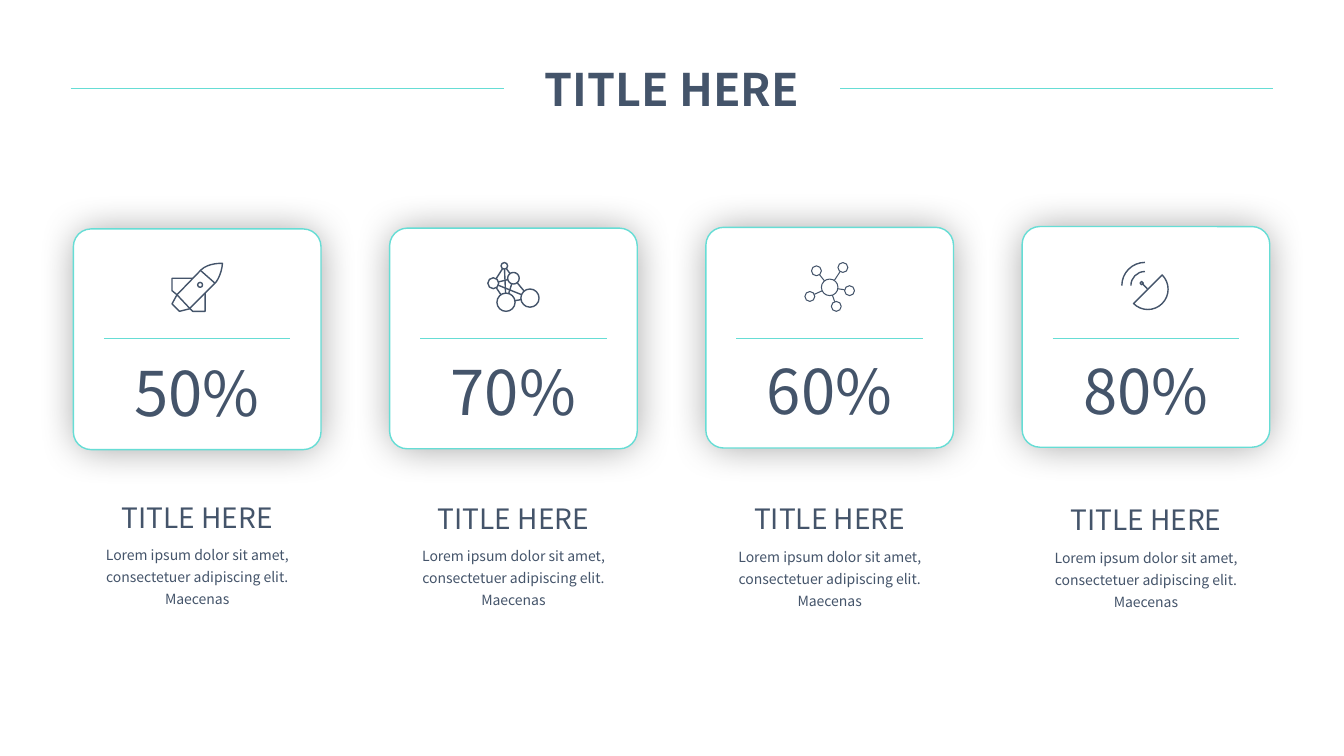
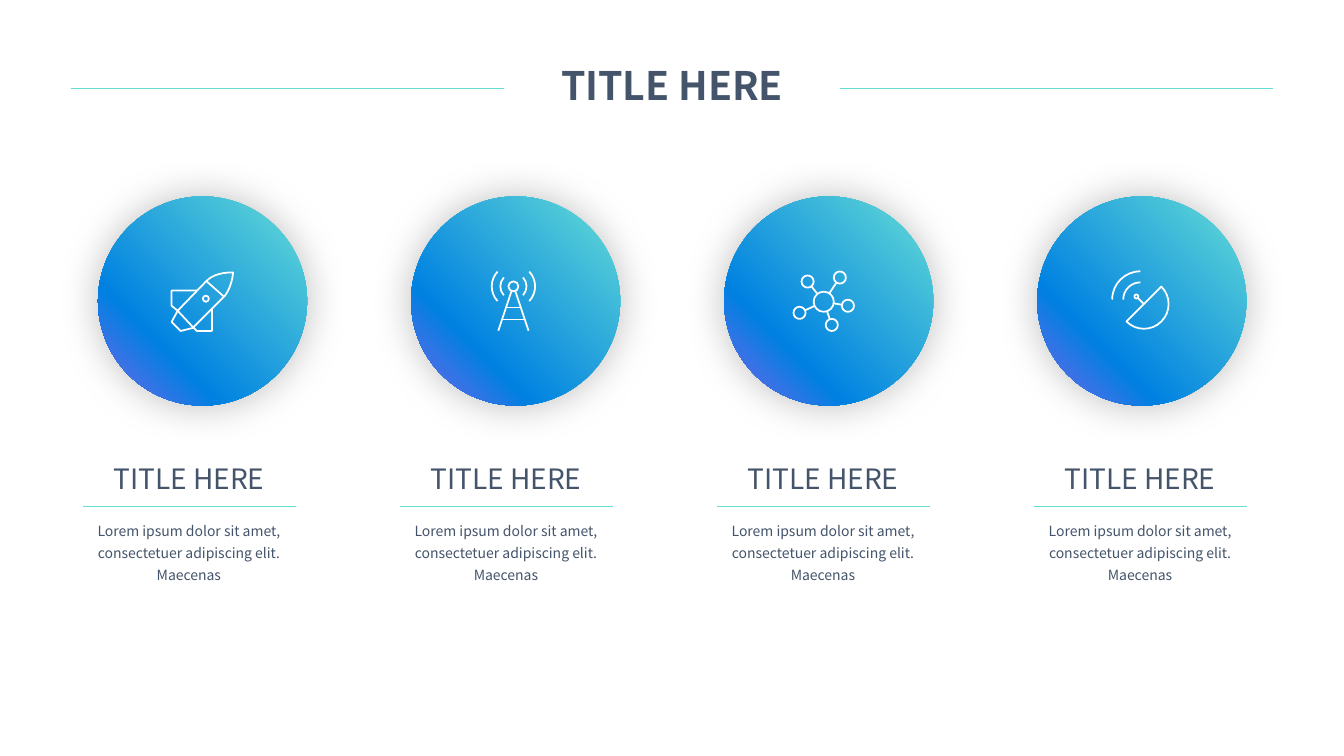
from math import ceil, cos, hypot, radians, sin, tan

from lxml import etree
from pptx import Presentation
from pptx.dml.color import RGBColor
from pptx.enum.shapes import MSO_CONNECTOR as Connector, MSO_SHAPE as Shape
from pptx.enum.text import MSO_AUTO_SIZE as AutoSize, PP_ALIGN as Align
from pptx.oxml import parse_xml
from pptx.oxml.ns import nsdecls, qn
from pptx.util import Cm, Pt

INK, TEAL, BLUE, PURPLE, WHITE = "44546A", "66DDD5", "0081E1", "8160EB", "FFFFFF"
FONT = "Noto Sans CJK SC"
HEADING = "TITLE HERE"
BODY = "Lorem ipsum dolor sit amet, consectetuer adipiscing elit. Maecenas"
ICON_UNIT = 0.0254  # cm per icon unit at full size


def rgb(color):
    return RGBColor.from_string(color)


# Icon outlines, in a field about 60 units wide: (start, segments, closed).
# A segment of one point is straight; one of three points is a Bézier curve.
def arc(x, y, r, start, end, closed=False):
    """Outline along a circle, in degrees clockwise from the right."""
    count = ceil((end - start) / 90)
    step = radians((end - start) / count)
    reach = r * 4 / 3 * tan(step / 4)

    def on_circle(angle, along=0):
        return (x + r * cos(angle) - along * sin(angle),
                y + r * sin(angle) + along * cos(angle))
    angles = [radians(start) + step * i for i in range(count + 1)]
    curves = [[on_circle(a, reach), on_circle(b, -reach), on_circle(b)]
              for a, b in zip(angles, angles[1:])]
    return on_circle(angles[0]), curves, closed


def circle(x, y, r):
    return arc(x, y, r, 0, 360, closed=True)


def line(start, *points):
    return start, [[point] for point in points], False


def molecule(nodes, links):
    """Circles (x, y, radius) joined from edge to edge."""
    def bond(a, b):
        (ax, ay, ar), (bx, by, br) = nodes[a], nodes[b]
        length = hypot(bx - ax, by - ay)
        ux, uy = (bx - ax) / length, (by - ay) / length
        return line((ax + ar * ux, ay + ar * uy), (bx - br * ux, by - br * uy))
    return [circle(*node) for node in nodes] + [bond(*link) for link in links]


ROCKET = [
    ((61, 1), [[(60, 15), (53, 24), (53, 24)],
               [(21, 56)], [(9, 59)], [(0, 50)], [(6, 39)], [(35, 9)],
               [(44, 0), (61, 1), (61, 1)]], True),
    line((35, 10), (52, 25)),
    line((25, 19), (0, 19), (0, 34), (6, 39)),
    line((6, 39), (21, 55), (25, 59), (40, 59), (40, 37)),
    circle(34, 27, 3),
]
DISH = [
    line((32, 32), (26, 26)),
    circle(25, 25, 2),
    arc(29, 28, 17, 180, 270),
    arc(29, 28, 28, 180, 270),
    arc(32.5, 32.5, 24.5, -45, 135, closed=True),
]
TOWER = [
    circle(21, 15, 5),
    line((6, 59), (19, 20)),
    line((36, 59), (23, 20)),
    line((14, 36), (28, 36)),
    line((10, 48), (32, 48)),
] + [arc(21, 15, r, side - 43, side + 43) for r in (13, 21.5) for side in (0, 180)]
HUB = molecule(
    [(30, 30, 10), (46, 6, 6), (14, 10, 6), (6, 41, 6), (38, 53, 6), (54, 34, 6)],
    [(0, satellite) for satellite in range(1, 6)])
NETWORK = molecule(
    [(20, 4, 4), (6.6, 25, 6.6), (22, 48, 11), (31, 19, 7), (51, 43, 11)],
    [(4, 2), (1, 3), (2, 3), (2, 1), (4, 1), (0, 1), (4, 3), (2, 0), (0, 3)])


def bend(freeform, segments):
    """Turn each run of three straight steps that holds a curve into that curve."""
    steps = iter(freeform.element.spPr.xpath(".//a:lnTo"))
    for segment in segments:
        first, *others = [next(steps) for _ in segment]
        if others:
            curve = etree.Element(qn("a:cubicBezTo"))
            first.addprevious(curve)
            for step in (first, *others):
                curve.append(step[0])
                step.getparent().remove(step)


class Deck:
    def __init__(self):
        self.prs = Presentation()
        self.prs.slide_width, self.prs.slide_height = Cm(33.87), Cm(19.05)
        self.shapes = None

    def new_slide(self, title, title_size):
        self.shapes = self.prs.slides.add_slide(self.prs.slide_layouts[6]).shapes
        for left in (1.78, 21.17):
            self.rule(left, 2.23, 10.92, weight=0.5)
        self.text(title, 12.7, 1.42, 8.47, 1.5, size=title_size, bold=True)

    def text(self, content, x, y, w, h, *, size, bold=False, spacing=None):
        frame = self.shapes.add_textbox(Cm(x), Cm(y), Cm(w), Cm(h)).text_frame
        frame.word_wrap = True
        frame.auto_size = AutoSize.SHAPE_TO_FIT_TEXT
        paragraph = frame.paragraphs[0]
        paragraph.alignment = Align.CENTER
        if spacing:
            paragraph.line_spacing = spacing
        run = paragraph.add_run()
        run.text = content
        font = run.font
        font.name, font.size, font.bold = FONT, Pt(size), bold
        font.color.rgb = rgb(INK)

    def rule(self, x, y, w, weight=1):
        rule = self.shapes.add_connector(
            Connector.STRAIGHT, Cm(x), Cm(y), Cm(x + w), Cm(y))
        rule.line.color.rgb = rgb(TEAL)
        rule.line.width = Pt(weight)
        rule.element.spPr.append(parse_xml(f"<a:effectLst {nsdecls('a')}/>"))

    def glow(self, shape, blur, opacity, spread=100):
        """Soft black shadow on all sides."""
        shape.shadow.inherit = False
        shape.element.spPr.xpath("a:effectLst")[0].append(parse_xml(
            f'<a:outerShdw {nsdecls("a")} blurRad="{Pt(blur)}" dist="0" dir="0" '
            f'sx="{spread * 1000}" sy="{spread * 1000}" algn="ctr" rotWithShape="0">'
            f'<a:srgbClr val="000000"><a:alpha val="{opacity * 1000}"/></a:srgbClr>'
            f'</a:outerShdw>'))

    def card(self, x, y, w, h):
        card = self.shapes.add_shape(
            Shape.ROUNDED_RECTANGLE, Cm(x), Cm(y), Cm(w), Cm(h))
        card.adjustments[0] = 0.08
        card.fill.solid()
        card.fill.fore_color.rgb = rgb(WHITE)
        card.line.color.rgb = rgb(TEAL)
        card.line.width = Pt(1)
        self.glow(card, blur=28, opacity=40, spread=97)

    def disc(self, x, y, diameter):
        disc = self.shapes.add_shape(
            Shape.OVAL, Cm(x), Cm(y), Cm(diameter), Cm(diameter))
        disc.line.fill.background()
        stops = "".join(
            f'<a:gs pos="{percent * 1000}"><a:srgbClr val="{color}"/></a:gs>'
            for percent, color in ((0, TEAL), (71, BLUE), (100, PURPLE)))
        disc.element.spPr.xpath("a:prstGeom")[0].addnext(parse_xml(
            f'<a:gradFill {nsdecls("a")} rotWithShape="1"><a:gsLst>{stops}</a:gsLst>'
            f'<a:lin ang="{135 * 60000}" scaled="0"/></a:gradFill>'))
        self.glow(disc, blur=29, opacity=25)

    def icon(self, outlines, center_x, center_y, *, scale, color, weight):
        fine = 100  # freeform points are whole numbers

        def finer(point):
            return point[0] * fine, point[1] * fine
        unit = ICON_UNIT * scale / fine
        builder = self.shapes.build_freeform(*finer(outlines[0][0]), scale=Cm(1) * unit)
        for index, (start, segments, closed) in enumerate(outlines):
            if index:
                builder.move_to(*finer(start))
            builder.add_line_segments(
                [finer(point) for segment in segments for point in segment], close=closed)
        icon = builder.convert_to_shape()
        icon.left = Cm(center_x) - icon.width // 2
        icon.top = Cm(center_y) - icon.height // 2
        bend(icon, [segment for _, segments, _ in outlines for segment in segments])
        icon.fill.background()
        icon.line.color.rgb = rgb(color)
        icon.line.width = Pt(weight)
        icon.shadow.inherit = False

    def caption(self, x, heading_y, body_y):
        self.text(HEADING, x, heading_y, 5.84, 1.11, size=20)
        self.text(BODY, x, body_y, 5.84, 1.88, size=10, spacing=1.3)


def card_slide(deck):
    deck.new_slide(HEADING, title_size=32)
    cards = [("50%", ROCKET, 1), ("70%", NETWORK, 1), ("60%", HUB, 0.75), ("80%", DISH, 1)]
    for column, (percent, outlines, weight) in enumerate(cards):
        left, width = 1.85 + 7.97 * column, 6.24
        drift = 0.02 * column  # cards rise and captions sink to the right
        deck.card(left, 5.77 - drift, width, 5.56)
        deck.icon(outlines, left + width / 2, 7.23, scale=0.82, color=INK, weight=weight)
        deck.rule(left + 0.77, 8.53, 4.7)
        deck.text(percent, left + 0.94, 8.82 - drift, 4.35, 2.13, size=44)
        deck.caption(left + 0.2, 12.48 + drift, 13.53 + drift)


def disc_slide(deck):
    deck.new_slide(HEADING, title_size=28)
    icons = [(ROCKET, 5.1), (TOWER, 12.94), (HUB, 20.76), (DISH, 28.77)]
    for column, (outlines, icon_center) in enumerate(icons):
        deck.disc(2.47 + 7.89 * column, 4.95, 5.27)
        deck.icon(outlines, icon_center, 7.59, scale=1, color=WHITE, weight=1.25)
        caption_left = 1.84 + 7.99 * column
        deck.caption(caption_left, 11.51, 12.92)
        deck.rule(caption_left + 0.26, 12.77, 5.35)


def main():
    deck = Deck()
    card_slide(deck)
    disc_slide(deck)
    deck.prs.save("out.pptx")


if __name__ == "__main__":
    main()
